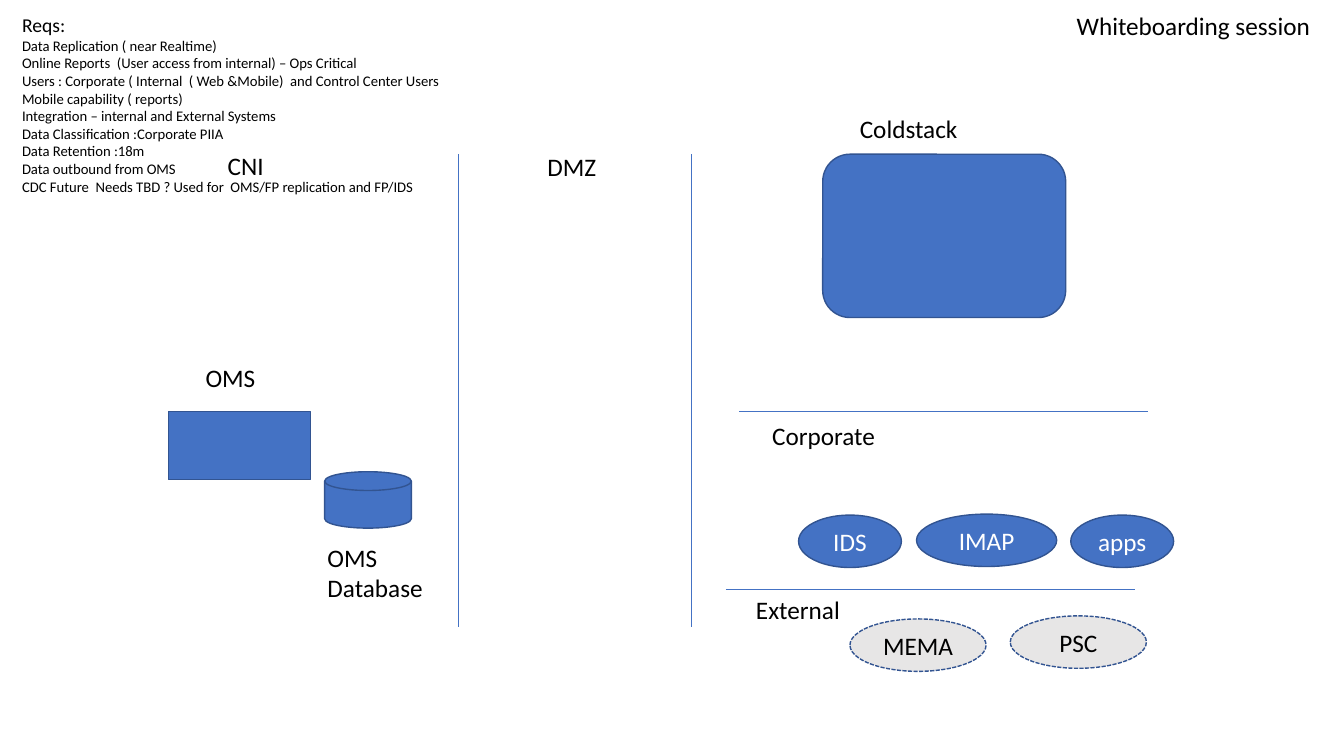
from lxml.etree import SubElement
from pptx import Presentation
from pptx.dml.color import RGBColor
from pptx.enum.dml import MSO_LINE
from pptx.enum.shapes import MSO_CONNECTOR, MSO_SHAPE
from pptx.enum.text import MSO_ANCHOR, MSO_AUTO_SIZE, PP_ALIGN
from pptx.oxml.ns import qn
from pptx.util import Inches, Pt

BLUE = RGBColor(0x44, 0x72, 0xC4)
OUTLINE = RGBColor(0x32, 0x54, 0x91)
GREY = RGBColor(0xE7, 0xE6, 0xE6)
BLACK = RGBColor(0, 0, 0)
WHITE = RGBColor(0xFF, 0xFF, 0xFF)

SLIDE_WIDTH = Inches(13.33)
SLIDE_HEIGHT = Inches(7.5)
CELL = SLIDE_HEIGHT / 75
LABEL_ROWS = 4
SYSTEM_ROWS = 5.2

REQUIREMENTS = [
    "Data Replication ( near Realtime)",
    "Online Reports  (User access from internal) – Ops Critical",
    "Users : Corporate ( Internal  ( Web &Mobile)  and Control Center Users",
    "Mobile capability ( reports)",
    "Integration – internal and External Systems",
    "Data Classification :Corporate PIIA",
    "Data Retention :18m",
    "Data outbound from OMS",
    "CDC Future  Needs TBD ? Used for  OMS/FP replication and FP/IDS",
]


def grid(*cells):
    return [round(cell * CELL) for cell in cells]


def write(frame, lines, size=18, color=BLACK, align=PP_ALIGN.LEFT, heading_size=None):
    for index, line in enumerate(lines):
        paragraph = frame.paragraphs[0] if index == 0 else frame.add_paragraph()
        paragraph.alignment = align
        run = paragraph.add_run()
        run.text = line
        run.font.name = "Calibri"
        run.font.size = Pt(heading_size if heading_size and index == 0 else size)
        run.font.color.rgb = color


def add_label(slide, column, row, columns, rows, *lines, **text_format):
    frame = slide.shapes.add_textbox(*grid(column, row, columns, rows)).text_frame
    frame.word_wrap = True
    frame.auto_size = MSO_AUTO_SIZE.SHAPE_TO_FIT_TEXT
    write(frame, lines, **text_format)


def add_block(slide, kind, column, row, columns, rows, fill=BLUE):
    block = slide.shapes.add_shape(kind, *grid(column, row, columns, rows))
    block.shadow.inherit = False
    block.fill.solid()
    block.fill.fore_color.rgb = fill
    block.line.color.rgb = OUTLINE
    block.line.width = Pt(1)
    return block


def add_system(slide, name, column, row, columns, external=False):
    system = add_block(slide, MSO_SHAPE.OVAL, column, row, columns, SYSTEM_ROWS,
                       fill=GREY if external else BLUE)
    if external:
        system.line.dash_style = MSO_LINE.SQUARE_DOT
    frame = system.text_frame
    frame.vertical_anchor = MSO_ANCHOR.MIDDLE
    frame.word_wrap = False
    write(frame, [name], color=BLACK if external else WHITE, align=PP_ALIGN.CENTER)


def add_divider(slide, column, row, columns=0, rows=0):
    divider = slide.shapes.add_connector(
        MSO_CONNECTOR.STRAIGHT, *grid(column, row, column + columns, row + rows))
    divider.line.color.rgb = BLUE
    divider.line.width = Pt(0.5)
    SubElement(divider._element.spPr, qn("a:effectLst"))


def main():
    deck = Presentation()
    deck.slide_width = SLIDE_WIDTH
    deck.slide_height = SLIDE_HEIGHT
    slide = deck.slides.add_slide(deck.slide_layouts[6])

    add_block(slide, MSO_SHAPE.RECTANGLE, 16.7, 40.8, 14.1, 6.8)
    add_block(slide, MSO_SHAPE.FLOWCHART_MAGNETIC_DISK, 32.2, 46.8, 8.6, 5.6)
    add_block(slide, MSO_SHAPE.ROUNDED_RECTANGLE, 81.6, 15.3, 24.1, 16.2)

    for column in (45.5, 68.6):
        add_divider(slide, column, 15.3, rows=46.9)
    for column, row in ((73.3, 40.8), (72, 58.5)):
        add_divider(slide, column, row, columns=40.6)

    for name, column, row, columns in (
        ("OMS", 19.4, 35.5, 8.3),
        ("Corporate", 75.6, 41.2, 20),
        ("CNI", 21.6, 14.4, 20),
        ("Coldstack", 84.3, 10.8, 22.6),
        ("DMZ", 53.3, 14.5, 20),
        ("External", 74, 58.5, 20),
        ("Whiteboarding session", 105.8, 0.5, 27.5),
    ):
        add_label(slide, column, row, columns, LABEL_ROWS, name)
    add_label(slide, 31.5, 53.3, 11.7, 7.1, "OMS", "Database")

    for name, column, row, columns, external in (
        ("IDS", 79.2, 51.1, 10.2, False),
        ("IMAP", 90.9, 51, 13.9, False),
        ("apps", 106.2, 51.1, 10.2, False),
        ("MEMA", 84.3, 61.4, 13.5, True),
        ("PSC", 100.2, 61.1, 13.5, True),
    ):
        add_system(slide, name, column, row, columns, external)

    add_label(slide, 1.2, 0.8, 62.1, 19.3, "Reqs:", *REQUIREMENTS,
              size=10.5, heading_size=14)
    deck.save("out.pptx")


if __name__ == "__main__":
    main()
